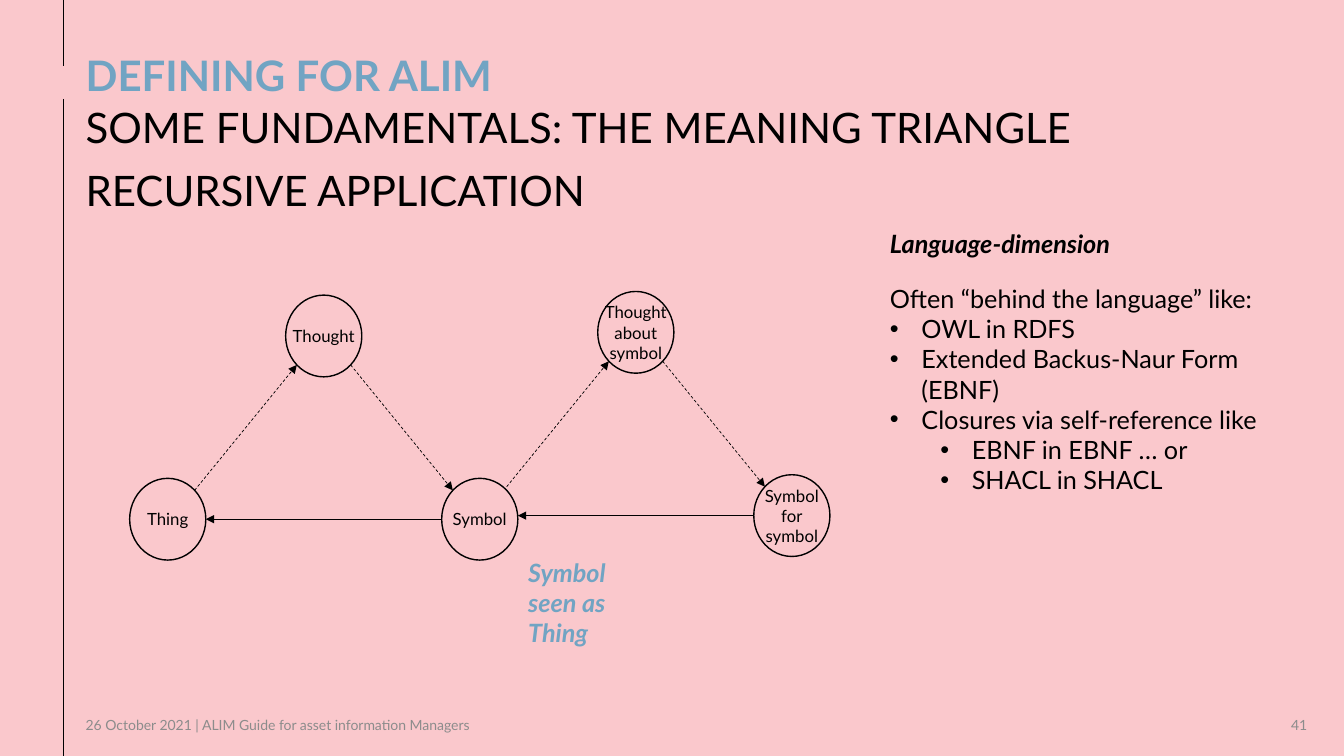
from lxml import etree
from pptx import Presentation
from pptx import util as u
from pptx.dml.color import RGBColor
from pptx.enum import dml, shapes, text
from pptx.oxml import ns

Pt = u.Pt
FONT = "Lato"
COLORS = {"bg": "FAC8CC", "ink": "000000", "accent": "71A4C3", "muted": "8C8C8C"}
NODE_W, NODE_H = 54.4, 58.4
DIAGONAL = 0.5 ** 0.5


def rgb(name):
    return RGBColor.from_string(COLORS[name])


def add_xml(parent, tag, **attrs):
    return etree.SubElement(parent, ns.qn(tag), **attrs)


def style(p, size, color="ink", bold=False, italic=False):
    f = p.font
    f.name, f.size, f.bold, f.italic = FONT, Pt(size), bold, italic
    f.color.rgb = rgb(color)


def write(tf, lines, size, **look):
    for i, line in enumerate(lines):
        p = tf.paragraphs[0] if i == 0 else tf.add_paragraph()
        p.text = line
        style(p, size, **look)


def textbox(s, box, lines, size, wrap=True, margins=None, anchor="TOP", **look):
    tf = s.shapes.add_textbox(*map(Pt, box)).text_frame
    tf.word_wrap = wrap
    tf.vertical_anchor = text.MSO_ANCHOR[anchor]
    if margins:
        tf.margin_left, tf.margin_top, tf.margin_right, tf.margin_bottom = map(Pt, margins)
    write(tf, lines, size, **look)
    return tf


def line(s, start, end, width, dashed=False, arrow=False):
    c = s.shapes.add_connector(shapes.MSO_CONNECTOR.STRAIGHT, *map(Pt, (*start, *end)))
    c.line.color.rgb = rgb("ink")
    c.line.width = Pt(width)
    if dashed:
        c.line.dash_style = dml.MSO_LINE.DASH
    if arrow:
        add_xml(c.line._get_or_add_ln(), "a:tailEnd", type="triangle")
    add_xml(c._element.spPr, "a:effectLst")


def node(s, left, top, lines):
    sp = s.shapes.add_shape(shapes.MSO_SHAPE.OVAL, *map(Pt, (left, top, NODE_W, NODE_H)))
    sp.shadow.inherit = False
    sp.fill.background()
    sp.line.color.rgb = rgb("ink")
    sp.line.width = Pt(1)
    tf = sp.text_frame
    tf.word_wrap = False
    tf.vertical_anchor = text.MSO_ANCHOR.MIDDLE
    write(tf, lines, 12)
    for p in tf.paragraphs:
        p.alignment = text.PP_ALIGN.CENTER


def rim(corner, dx, dy):
    return corner[0] + NODE_W / 2 * (1 + dx), corner[1] + NODE_H / 2 * (1 + dy)


def triangle(s, box, thought, symbol, thing=None):
    left, top, width, height = box
    low = top + height - NODE_H
    thing_at = left, low
    thought_at = left + (width - NODE_W) / 2, top
    symbol_at = left + width - NODE_W, low
    for corner, lines in ((thought_at, thought), (thing_at, thing), (symbol_at, symbol)):
        if lines:
            node(s, *corner, lines)
    d = DIAGONAL
    line(s, rim(thing_at, d, -d), rim(thought_at, -d, d), 0.5, dashed=True, arrow=True)
    line(s, rim(thought_at, d, d), rim(symbol_at, -d, -d), 0.5, dashed=True, arrow=True)
    line(s, rim(symbol_at, -1, 0), rim(thing_at, 1, 0), 0.5, arrow=True)


def diagram(s, box):
    left, top, width, height = box
    span = (width + NODE_W) / 2
    tall = height - 2.6
    triangle(s, (left, top + 2.6, span, tall), ["Thought"], ["Symbol"], ["Thing"])
    triangle(s, (left + span - NODE_W, top, span, tall),
             ["Thought", "about", "symbol"], ["Symbol", "for", "symbol"])
    textbox(s, (left + span + 0.3, top + height - 5.6, 70.6, 72.7),
            ["Symbol", "seen as", "Thing"], 18, wrap=False,
            color="accent", bold=True, italic=True)


def heading(s, box):
    left, top, width, _ = box
    tf = textbox(s, (left, top, width, 20.9), ["DEFINING FOR ALIM"], 30,
                 margins=(0, 0, 0, 30.2), color="accent", bold=True)
    tf.paragraphs[0].line_spacing = 0.9
    tf = textbox(s, (left, top + 23.8, width, 27.4),
                 ["SOME FUNDAMENTALS: THE MEANING TRIANGLE", "RECURSIVE APPLICATION"],
                 30, margins=(0, 0, 0, 0))
    for p in tf.paragraphs:
        p.space_after = Pt(6)
    tf.paragraphs[1].space_before = Pt(3)


def language_notes(s, box):
    left, top, width, height = box
    textbox(s, (left, top, 172, 28.8), ["Language-dimension"], 18, wrap=False,
            bold=True, italic=True)
    items = [("Often “behind the language” like:", None),
             ("OWL in RDFS", 0),
             ("Extended Backus-Naur Form (EBNF)", 0),
             ("Closures via self-reference like", 0),
             ("EBNF in EBNF … or", 1),
             ("SHACL in SHACL", 1)]
    tf = textbox(s, (left, top + 39.4, width, height - 39.4), [], 18)
    for i, (words, level) in enumerate(items):
        p = tf.paragraphs[0] if i == 0 else tf.add_paragraph()
        p.text = words
        if level is not None:
            p.level = level
            pPr = p._p.get_or_add_pPr()
            pPr.set("marL", str(Pt(22.5 + 36 * level)))
            pPr.set("indent", str(-Pt(22.5)))
            add_xml(pPr, "a:buFont", typeface="Arial")
            add_xml(pPr, "a:buChar", char="•")
        style(p, 18)


def margin_rule(s, x, gap_top, gap_bottom, bottom):
    line(s, (x, gap_bottom), (x, bottom), 0.57)
    line(s, (x, 0), (x, gap_top), 0.57)


def footer(s, box):
    left, top, width, height = box
    textbox(s, (left, top, 419, height),
            ["26 October 2021 | ALIM Guide for asset information Managers"], 10,
            margins=(0, 0, 0, 0), anchor="MIDDLE", color="muted")
    textbox(s, (left + width - 33.1, top, 33.1, height), ["41"], 10,
            anchor="MIDDLE", color="muted")


def main():
    prs = Presentation()
    prs.slide_width, prs.slide_height = Pt(960), Pt(540)
    s = prs.slides.add_slide(prs.slide_layouts[6])
    s.background.fill.solid()
    s.background.fill.fore_color.rgb = rgb("bg")
    margin_rule(s, 45.2, 46.8, 70.6, 540)
    footer(s, (61.2, 510.5, 887, 14.4))
    heading(s, (61.2, 49, 852.5, 100))
    diagram(s, (92.6, 208.2, 500.2, 191.9))
    language_notes(s, (628.6, 159.3, 309.6, 199.3))
    prs.save("out.pptx")


if __name__ == "__main__":
    main()
